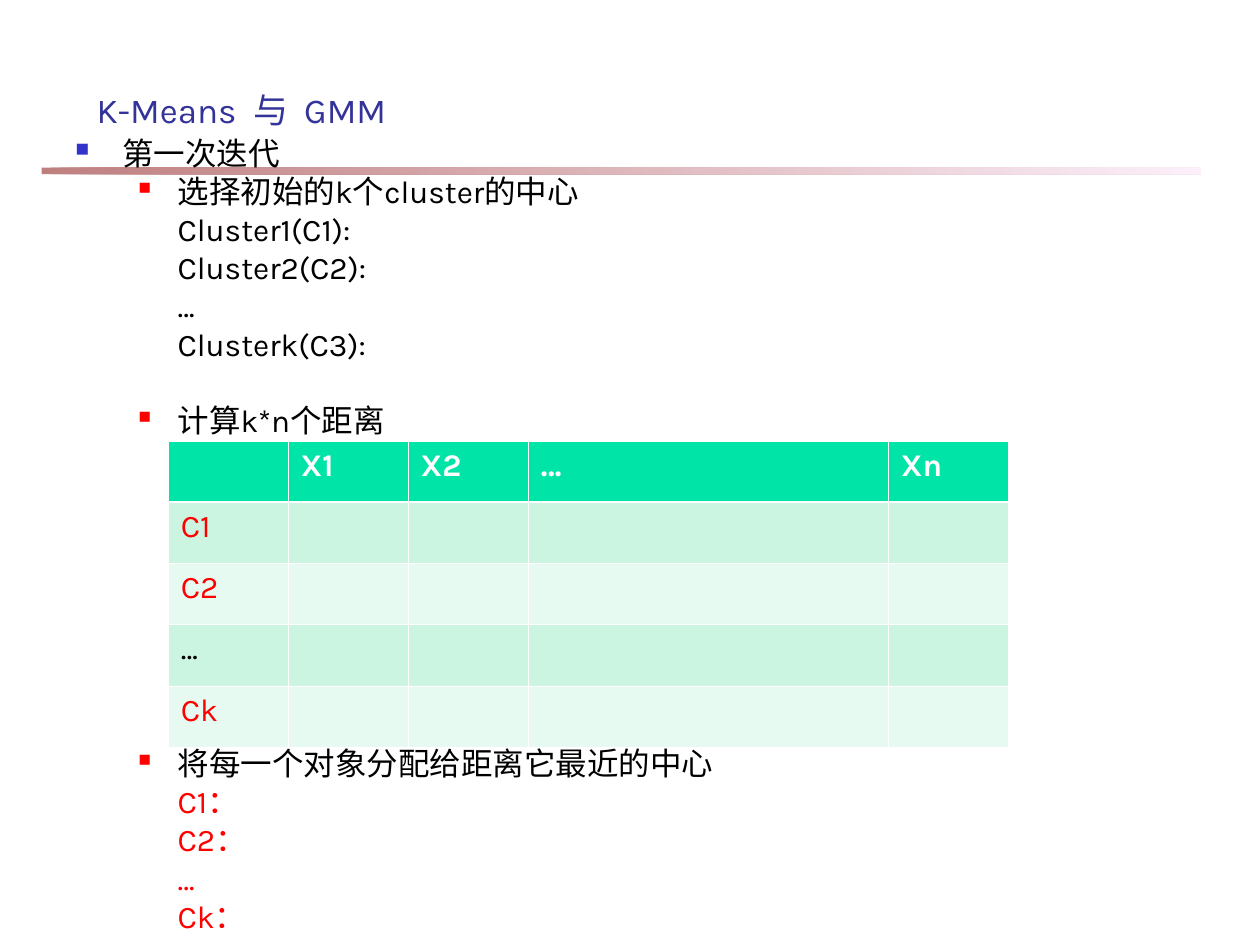
from lxml import etree
from pptx import Presentation
from pptx import util as u
from pptx.dml.color import RGBColor
from pptx.enum import shapes, text
from pptx.oxml import ns

FONT = "Karla"
SIZE = 18
BEFORE = 4.5
LINE = 21.8
COLORS = {
    "title": "333399", "text": "000000", "accent": "FF0000", "bullet": "3333CC",
    "bar_start": "800000", "bar_end": "FAE2F6", "white": "FFFFFF",
    "header": "00E4A8", "odd": "CBF5E1", "even": "E7FAF1",
}
OUTLINE = [
    ("top", "第一次迭代", "text", 0),
    ("item", "选择初始的k个cluster的中心", "text", 0),
    ("plain", "Cluster1(C1):", "text", 0),
    ("plain", "Cluster2(C2):", "text", 0),
    ("plain", "…", "text", 0),
    ("plain", "Clusterk(C3):", "text", 0),
    ("item", "计算k*n个距离", "text", 1),
    ("item", "将每一个对象分配给距离它最近的中心", "text", 8),
    ("plain", "C1：", "accent", 0),
    ("plain", "C2：", "accent", 0),
    ("plain", "…", "accent", 0),
    ("plain", "Ck：", "accent", 0),
]
LEVELS = {
    "top": (0.95, -0.95, "bullet", 60),
    "item": (2.06, -0.79, "accent", 55),
    "plain": (2.06, 0, None, None),
}
HEADERS = ["", "X1", "X2", "…", "Xn"]
ROW_NAMES = ["C1", "C2", "…", "Ck"]
COLUMN_SHARES = [1, 1, 1, 3, 1]


def rgb(name):
    return RGBColor.from_string(COLORS[name])


def sub(parent, tag, **attrs):
    return etree.SubElement(parent, ns.qn(tag), **attrs)


def style(p, size, color, bold=False):
    p.font.name = FONT
    p.font.size = u.Pt(size)
    p.font.bold = bold
    p.font.color.rgb = rgb(color)


def text_frame(s, box, anchor):
    tf = s.shapes.add_textbox(*map(u.Cm, box)).text_frame
    tf.word_wrap = True
    tf.vertical_anchor = anchor
    return tf


def add_bar(s, box):
    sp = s.shapes.add_shape(shapes.MSO_SHAPE.RECTANGLE, *map(u.Cm, box))
    sp.shadow.inherit = False
    sp.line.fill.background()
    sp.fill.gradient()
    sp.fill.gradient_angle = 0
    for stop, name in zip(sp.fill.gradient_stops, ("bar_start", "bar_end")):
        stop.color.rgb = rgb(name)
    for color in sp._element.spPr.iter(ns.qn("a:srgbClr")):
        sub(color, "a:alpha", val="50000")


def add_title(s, box):
    p = text_frame(s, box, text.MSO_ANCHOR.BOTTOM).paragraphs[0]
    p.text = "K-Means  与  GMM"
    style(p, 20, "title")


def set_level(p, level):
    margin, indent, color, percent = LEVELS[level]
    pPr = p._p.get_or_add_pPr()
    pPr.set("marL", str(u.Cm(margin)))
    pPr.set("indent", str(u.Cm(indent)))
    if color:
        sub(sub(pPr, "a:buClr"), "a:srgbClr", val=COLORS[color])
        sub(pPr, "a:buSzPct", val=str(percent * 1000))
        sub(pPr, "a:buChar", char="■")
    else:
        sub(pPr, "a:buNone")


def add_outline(s, box):
    tf = text_frame(s, box, text.MSO_ANCHOR.TOP)
    for i, (level, words, color, gap_lines) in enumerate(OUTLINE):
        p = tf.add_paragraph() if i else tf.paragraphs[0]
        p.text = words
        p.level = 0 if level == "top" else 1
        p.line_spacing = 0.8
        p.space_before = u.Pt(BEFORE + gap_lines * LINE)
        set_level(p, level)
        style(p, SIZE, color)


def set_borders(cell, row):
    tcPr = cell._tc.get_or_add_tcPr()
    thick = {0: "a:lnB", 1: "a:lnT"}.get(row)
    for tag in ("a:lnL", "a:lnR", "a:lnT", "a:lnB"):
        width = u.Pt(1.47 if tag == thick else 0.45)
        ln = sub(tcPr, tag, w=str(width))
        sub(sub(ln, "a:solidFill"), "a:srgbClr", val=COLORS["white"])


def fill_cell(cell, words, row):
    set_borders(cell, row)
    cell.fill.solid()
    cell.fill.fore_color.rgb = rgb("header" if row == 0 else "odd" if row % 2 else "even")
    p = cell.text_frame.paragraphs[0]
    p.text = words
    color = "white" if row == 0 else "text" if words == "…" else "accent"
    style(p, SIZE, color, row == 0)


def add_distances(s, box):
    rows = [HEADERS] + [[name] + [""] * (len(HEADERS) - 1) for name in ROW_NAMES]
    left, top, width, height = map(u.Cm, box)
    table = s.shapes.add_table(len(rows), len(HEADERS), left, top, width, height).table
    table.first_row = False
    table.horz_banding = False
    for column, share in zip(table.columns, COLUMN_SHARES):
        column.width = width * share // sum(COLUMN_SHARES)
    for i, row in enumerate(rows):
        for j, words in enumerate(row):
            fill_cell(table.cell(i, j), words, i)


def main():
    prs = Presentation()
    prs.slide_width, prs.slide_height = u.Cm(25.4), u.Cm(19.05)
    s = prs.slides.add_slide(prs.slide_layouts[6])
    add_bar(s, (0.84, 3.38, 23.37, 0.13))
    add_title(s, (1.7, 1.05, 21.64, 1.7))
    add_outline(s, (1.27, 2.72, 22.86, 16.33))
    add_distances(s, (3.39, 8.89, 16.94, 6.17))
    prs.save("out.pptx")


if __name__ == "__main__":
    main()
